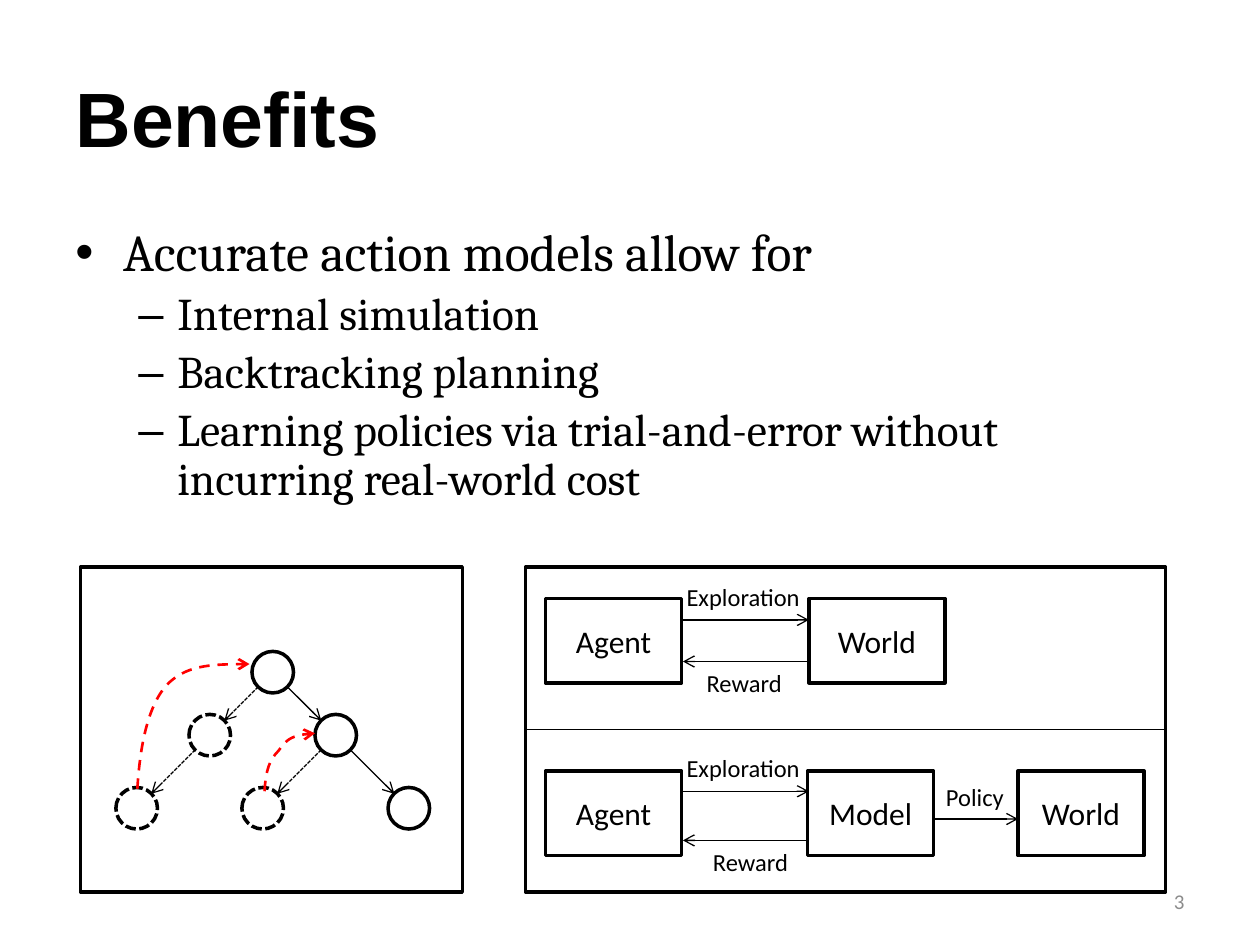
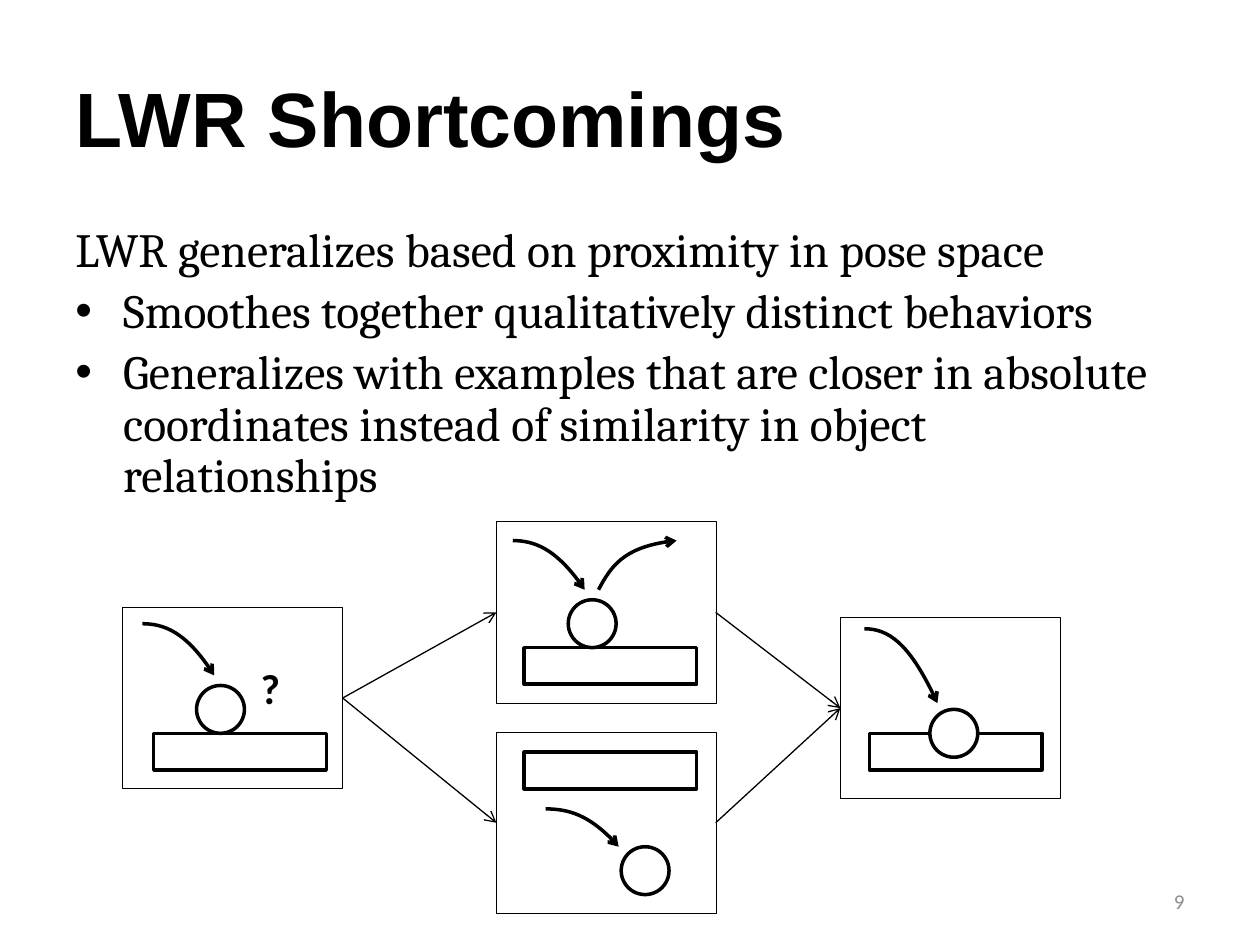
from pptx import Presentation
from pptx.dml.color import RGBColor
from pptx.enum.dml import MSO_LINE
from pptx.enum.shapes import MSO_CONNECTOR, MSO_SHAPE
from pptx.enum.text import MSO_ANCHOR, PP_ALIGN
from pptx.oxml.ns import qn
from pptx.util import Pt
from lxml import etree

PX = 9144  # 100 px to the inch
BLACK = RGBColor(0x00, 0x00, 0x00)
WHITE = RGBColor(0xFF, 0xFF, 0xFF)
RED = RGBColor(0xFF, 0x00, 0x00)
GREY = RGBColor(0x8C, 0x8C, 0x8C)
HEAD, SERIF, SANS = "Arial", "Cambria", "Calibri"
RECT, OVAL = MSO_SHAPE.RECTANGLE, MSO_SHAPE.OVAL
DASH, DOTS = MSO_LINE.DASH, MSO_LINE.SQUARE_DOT
LEFT, MID, RIGHT = PP_ALIGN.LEFT, PP_ALIGN.CENTER, PP_ALIGN.RIGHT
TOP, CENTER = MSO_ANCHOR.TOP, MSO_ANCHOR.MIDDLE
STRAIGHT = MSO_CONNECTOR.STRAIGHT


def emu(*px):
    return [round(n * PX) for n in px]


class Deck:
    def __init__(self):
        self.prs = Presentation()
        self.prs.slide_width, self.prs.slide_height = emu(1000, 750)
        self.slide = None

    def start(self, title, number):
        """Add a slide with its title and page number."""
        self.slide = self.prs.slides.add_slide(self.prs.slide_layouts[5])
        head = self.slide.shapes.title
        head.left, head.top, head.width, head.height = emu(50, 30, 900, 125)
        head.text_frame.vertical_anchor = CENTER
        para = head.text_frame.paragraphs[0]
        para.alignment = LEFT
        self.run(para, title, 44, HEAD, bold=True)
        self.text(717, 695, 233, 40, number, 12, GREY, RIGHT, CENTER, True)

    def run(self, para, text, size, face=SANS, color=BLACK, bold=False):
        run = para.add_run()
        run.text = text
        font = run.font
        font.name, font.size, font.bold = face, Pt(size), bold
        font.color.rgb = color

    def text(self, x, y, w, h, text, size, color=BLACK, align=LEFT,
             anchor=TOP, wrap=False, bold=False):
        frame = self.slide.shapes.add_textbox(*emu(x, y, w, h)).text_frame
        frame.word_wrap, frame.vertical_anchor = wrap, anchor
        para = frame.paragraphs[0]
        para.alignment = align
        self.run(para, text, size, color=color, bold=bold)

    def body(self, items, pitch):
        """Fill the main text; an item is text, size, mark, margin, hang."""
        frame = self.slide.shapes.add_textbox(*emu(50, 175, 900, 250)).text_frame
        frame.word_wrap = True
        for i, (text, size, mark, margin, hang) in enumerate(items):
            para = frame.add_paragraph() if i else frame.paragraphs[0]
            para.line_spacing = pitch
            para.space_before = Pt(round(size * 0.2, 1) if i else 0)
            if mark:
                props = para._p.get_or_add_pPr()
                props.set("marL", str(margin * PX))
                props.set("indent", str(-hang * PX))
                etree.SubElement(props, qn("a:buFont"), typeface=HEAD)
                etree.SubElement(props, qn("a:buChar"), char=mark)
            self.run(para, text, size, SERIF)

    def pen(self, shape, color, width, dash=None, arrow=False):
        line = shape.line
        line.color.rgb, line.width = color, Pt(width)
        if dash:
            line.dash_style = dash
        if arrow:
            ln = shape.element.spPr.find(qn("a:ln"))
            etree.SubElement(ln, qn("a:tailEnd"), type="arrow")

    def shape(self, kind, x, y, w, h, text="", width=2, dash=None, fill=WHITE):
        shape = self.slide.shapes.add_shape(kind, *emu(x, y, w, h))
        shape.shadow.inherit = False
        if fill is None:
            shape.fill.background()
        else:
            shape.fill.solid()
            shape.fill.fore_color.rgb = fill
        self.pen(shape, BLACK, width, dash)
        if text:
            shape.text_frame.vertical_anchor = CENTER
            para = shape.text_frame.paragraphs[0]
            para.alignment = MID
            self.run(para, text, 18)

    def line(self, x1, y1, x2, y2, dash=None, arrow=True):
        line = self.slide.shapes.add_connector(STRAIGHT, *emu(x1, y1, x2, y2))
        self.pen(line, BLACK, 0.75, dash, arrow)
        etree.SubElement(line.element.spPr, qn("a:effectLst"))

    def curve(self, points, color=BLACK, width=2, dash=None):
        """Draw an arrow through cubic curves, three points to a curve."""
        spots = [emu(*spot) for spot in points]
        form = self.slide.shapes.build_freeform(*spots[0])
        form.add_line_segments(spots[1:], close=False)
        shape = form.convert_to_shape()
        shape.shadow.inherit = False
        shape.fill.background()
        self.pen(shape, color, width, dash, True)
        legs = list(shape.element.iter(qn("a:lnTo")))
        for i in range(0, len(legs), 3):
            bend = etree.Element(qn("a:cubicBezTo"))
            legs[i].addprevious(bend)
            for leg in legs[i:i + 3]:
                bend.append(leg[0])
                leg.getparent().remove(leg)

    def scene(self, x, y, ball, bar, *curves):
        """Draw a framed ball and bar; places count from the frame corner."""
        self.shape(RECT, x, y, 175, 144, width=0.5, fill=None)
        self.shape(RECT, x + bar[0], y + bar[1], 137, 29)
        self.shape(OVAL, x + ball[0], y + ball[1], 38, 38)
        for curve in curves:
            self.curve([(x + dx, y + dy) for dx, dy in curve])


def benefits(deck):
    deck.start("Benefits", "3")
    subs = ["Internal simulation", "Backtracking planning",
            "Learning policies via trial-and-error without "
            "incurring real-world cost"]
    deck.body([("Accurate action models allow for", 29.6, "•", 38, 38)]
              + [(sub, 25.9, "–", 81, 31) for sub in subs], 0.9)

    # Search tree
    deck.shape(RECT, 64, 450, 303, 258, fill=None)
    nodes = [(200, 517, None), (150, 567, DOTS), (92, 625, DOTS),
             (250, 567, None), (308, 625, None), (192, 625, DOTS)]
    for x, y, dash in nodes:
        deck.shape(OVAL, x, y, 33, 33, dash=dash)
    edges = [(205, 545, -27, DOTS), (155, 595, -35, DOTS), (228, 545, 27, None),
             (278, 595, 35, None), (255, 595, -35, DOTS)]
    for x, y, step, dash in edges:
        deck.line(x, y, x + step, y + abs(step), dash)
    backs = [[(109, 626), (111, 593), (117, 561), (132, 544),
              (147, 528), (173, 527), (198, 527)],
             [(210, 628), (211, 611), (214, 603), (221, 596),
              (227, 588), (231, 583), (250, 582)]]
    for back in backs:
        deck.curve(back, RED, 1.5, DASH)

    # Agent loops, without and with a model
    deck.shape(RECT, 417, 450, 508, 258, fill=None)
    deck.line(417, 579, 925, 579, arrow=False)
    boxes = [(433, 475, 108, "Agent"), (642, 475, 108, "World"),
             (433, 612, 108, "Agent"), (641, 612, 100, "Model"),
             (808, 612, 100, "World")]
    for x, y, w, name in boxes:
        deck.shape(RECT, x, y, w, 67, name)
    for out, back in [(492, 525), (628, 667)]:
        deck.line(542, out, 642, out)
        deck.line(642, back, 542, back)
    deck.line(742, 650, 808, 650)
    tags = [(535, 457, 111, "Exploration"), (551, 525, 80, "Reward"),
            (535, 593, 111, "Exploration"), (556, 667, 80, "Reward"),
            (741, 616, 67, "Policy")]
    for x, y, w, name in tags:
        deck.text(x, y, w, 34, name, 14)


def limits(deck):
    deck.start("LWR Shortcomings", "9")
    size = 27.2
    deck.body([
        ("LWR generalizes based on proximity in pose space", size, "", 0, 0),
        ("Smoothes together qualitatively distinct behaviors", size, "•", 38, 38),
        ("Generalizes with examples that are closer in absolute coordinates "
         "instead of similarity in object relationships", size, "•", 38, 38),
    ], 0.9)

    # Question, two examples and the blended outcome
    deck.scene(97, 482, (59, 62), (25, 100),
               [(16, 13), (34, 13), (53, 22), (73, 54)])
    deck.text(197, 521, 33, 46, "?", 24, bold=True)
    deck.scene(394, 414, (57, 62), (22, 100),
               [(13, 15), (31, 15), (50, 24), (70, 54)],
               [(81, 54), (91, 35), (103, 19), (143, 15)])
    deck.scene(394, 581, (99, 91), (22, 16),
               [(39, 61), (58, 61), (77, 68), (97, 91)])
    deck.scene(667, 490, (71, 73), (23, 92),
               [(19, 9), (38, 9), (56, 22), (77, 68)])

    # Links between the scenes
    for y in (486, 653):
        deck.line(272, 554, 394, y)
        deck.line(568, y, 667, 562)


def main():
    deck = Deck()
    benefits(deck)
    limits(deck)
    deck.prs.save("out.pptx")


if __name__ == "__main__":
    main()
